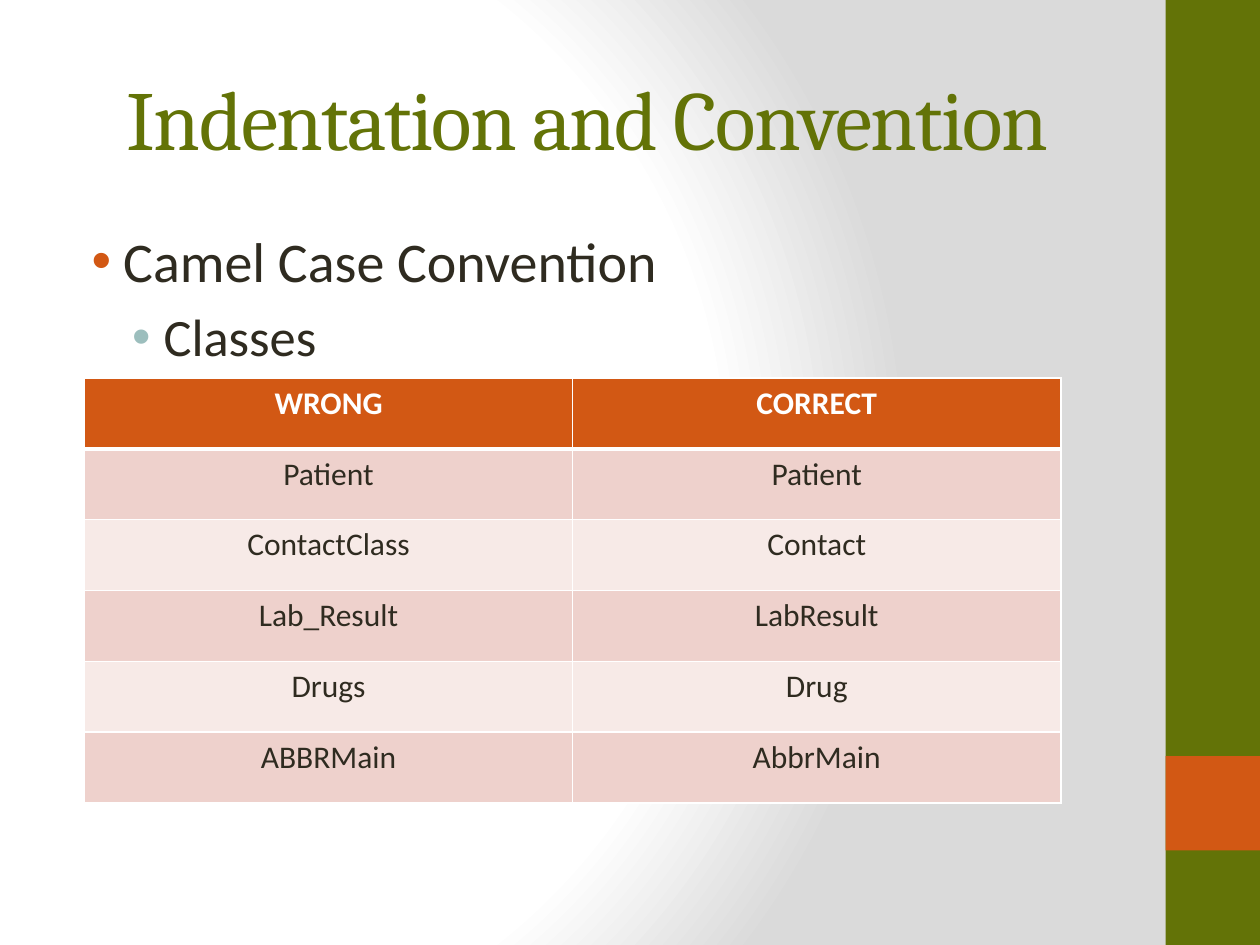
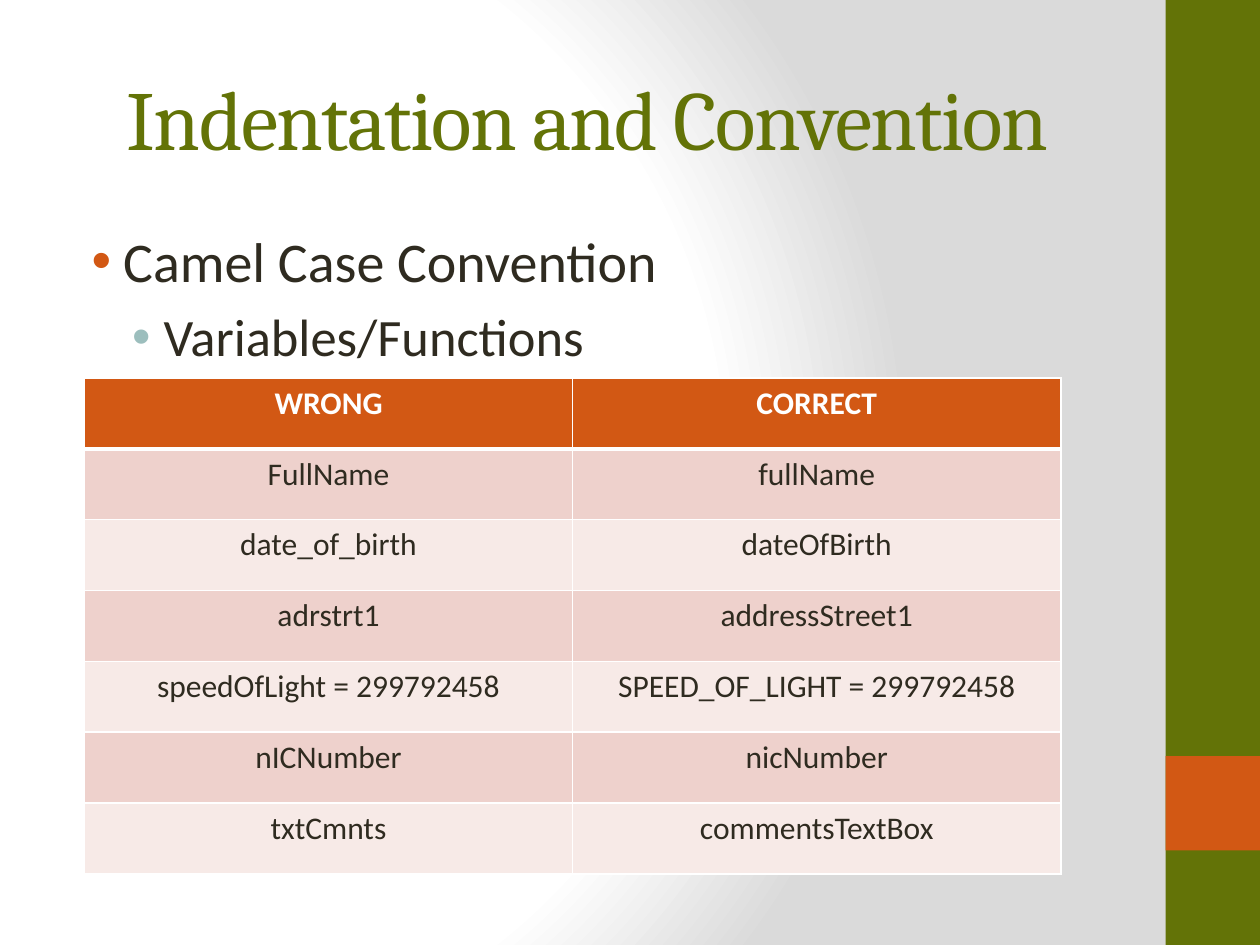
from pptx import Presentation
from pptx.dml.color import RGBColor
from pptx.enum.shapes import MSO_SHAPE as Shape
from pptx.enum.text import MSO_ANCHOR as Anchor, PP_ALIGN as Align
from pptx.oxml import parse_xml
from pptx.oxml.ns import nsdecls, qn
from pptx.util import Inches, Pt

COLORS = {
    "olive": "637307",
    "orange": "D25814",
    "teal": "9CBEBD",
    "ink": "2F2B20",
    "white": "FFFFFF",
    "gray": "DADADA",
    "dark_row": "EED1CC",
    "light_row": "F7EAE7",
}
HEADING_FONT, BODY_FONT = "Cambria", "Calibri"
TITLE = "Indentation and Convention"
TOPIC = "Camel Case Convention"
HEADER = ("WRONG", "CORRECT")
ROW_HEIGHT = Inches(9 / 16)

TITLE_BOX = (Inches(0.5), Inches(0.3), Inches(8.33), Inches(1.25))
BODY_BOX = (Inches(0.5), Inches(1.75), Inches(8.33), Inches(5.25))
SIDE_BAND = (Inches(9.25), 0, Inches(0.75), Inches(7.5))

CLASS_NAMES = [
    ("Patient", "Patient"),
    ("ContactClass", "Contact"),
    ("Lab_Result", "LabResult"),
    ("Drugs", "Drug"),
    ("ABBRMain", "AbbrMain"),
]
VARIABLE_NAMES = [
    ("FullName", "fullName"),
    ("date_of_birth", "dateOfBirth"),
    ("adrstrt1", "addressStreet1"),
    ("speedOfLight = 299792458", "SPEED_OF_LIGHT = 299792458"),
    ("nICNumber", "nicNumber"),
    ("txtCmnts", "commentsTextBox"),
]


def rgb(color):
    """Return the named colour."""
    return RGBColor.from_string(COLORS[color])


def style(paragraph, size, color, name=BODY_FONT, bold=False):
    """Set the font of a whole paragraph."""
    font = paragraph.font
    font.size, font.name, font.bold = Pt(size), name, bold
    font.color.rgb = rgb(color)


def paint_background(slide):
    """Fill the slide with a radial white to gray gradient."""
    slide.background.fill.gradient()
    stops = "".join(
        f'<a:gs pos="{position * 1000}"><a:srgbClr val="{COLORS[color]}"/></a:gs>'
        for position, color in ((0, "white"), (75, "white"), (100, "gray"))
    )
    gradient = slide.element.find(".//" + qn("a:gradFill"))
    gradient.getparent().replace(gradient, parse_xml(
        f'<a:gradFill {nsdecls("a")} rotWithShape="1"><a:gsLst>{stops}</a:gsLst>'
        '<a:path path="circle"><a:fillToRect l="20000" t="50000" r="100000" b="50000"/>'
        "</a:path></a:gradFill>"
    ))


def add_side_band(slide, left, top, width, height):
    """Draw the olive band with its orange square."""
    square_top = top + int(height * 0.8)
    for color, y, tall in (("olive", top, height), ("orange", square_top, width)):
        band = slide.shapes.add_shape(Shape.RECTANGLE, left, y, width, tall)
        band.shadow.inherit = False
        band.fill.solid()
        band.fill.fore_color.rgb = rgb(color)
        band.line.fill.background()


def add_title(slide, box):
    """Write the centred slide title."""
    frame = slide.shapes.add_textbox(*box).text_frame
    frame.word_wrap = True
    frame.vertical_anchor = Anchor.MIDDLE
    paragraph = frame.paragraphs[0]
    paragraph.text = TITLE
    paragraph.alignment = Align.CENTER
    style(paragraph, 48, "olive", HEADING_FONT)
    paragraph.runs[0].font._element.set("spc", "-100")


def add_bullet(paragraph, text, indent, color, size):
    """Write one bulleted line with a coloured bullet."""
    paragraph.text = text
    properties = paragraph._p.get_or_add_pPr()
    properties.set("marL", str(Inches(indent)))
    properties.set("indent", str(Inches(-0.25)))
    for tag in (
        f'<a:buClr {nsdecls("a")}><a:srgbClr val="{COLORS[color]}"/></a:buClr>',
        f'<a:buFont {nsdecls("a")} typeface="Arial"/>',
        f'<a:buChar {nsdecls("a")} char="•"/>',
    ):
        properties.append(parse_xml(tag))
    style(paragraph, size, "ink")


def add_body(slide, box, subtopic):
    """Write the topic and its subtopic."""
    frame = slide.shapes.add_textbox(*box).text_frame
    frame.word_wrap = True
    add_bullet(frame.paragraphs[0], TOPIC, 0.38, "orange", 32)
    second = frame.add_paragraph()
    add_bullet(second, subtopic, 0.7, "teal", 30)
    second.level = 1
    second.space_before = Pt(6)


def set_borders(cell, top, bottom):
    """Give a cell white borders."""
    properties = cell._tc.get_or_add_tcPr()
    for side, width in (("L", 1), ("R", 1), ("T", top), ("B", bottom)):
        properties.append(parse_xml(
            f'<a:ln{side} {nsdecls("a")} w="{Pt(width)}"><a:solidFill>'
            f'<a:srgbClr val="{COLORS["white"]}"/></a:solidFill></a:ln{side}>'
        ))


def add_name_table(slide, left, top, width, names):
    """Tabulate wrong and correct names under a header row."""
    rows = [HEADER, *names]
    table = slide.shapes.add_table(
        len(rows), len(HEADER), left, top, width, ROW_HEIGHT * len(rows)
    ).table
    table.horz_banding = False
    for row_index, row in enumerate(rows):
        table.rows[row_index].height = ROW_HEIGHT
        is_header = row_index == 0
        fill = "orange" if is_header else "dark_row" if row_index % 2 else "light_row"
        for column_index, text in enumerate(row):
            cell = table.cell(row_index, column_index)
            set_borders(cell, 3 if row_index == 1 else 1, 3 if is_header else 1)
            cell.fill.solid()
            cell.fill.fore_color.rgb = rgb(fill)
            cell.text = text
            paragraph = cell.text_frame.paragraphs[0]
            paragraph.alignment = Align.CENTER
            style(paragraph, 18, "white" if is_header else "ink", bold=is_header)


def add_convention_slide(presentation, subtopic, names):
    """Build one naming convention slide."""
    slide = presentation.slides.add_slide(presentation.slide_layouts[6])
    paint_background(slide)
    add_side_band(slide, *SIDE_BAND)
    add_title(slide, TITLE_BOX)
    add_body(slide, BODY_BOX, subtopic)
    add_name_table(slide, Inches(0.67), Inches(3), Inches(7.75), names)


def main():
    """Build and save the presentation."""
    presentation = Presentation()
    presentation.slide_width, presentation.slide_height = Inches(10), Inches(7.5)
    add_convention_slide(presentation, "Classes", CLASS_NAMES)
    add_convention_slide(presentation, "Variables/Functions", VARIABLE_NAMES)
    presentation.save("out.pptx")


if __name__ == "__main__":
    main()
